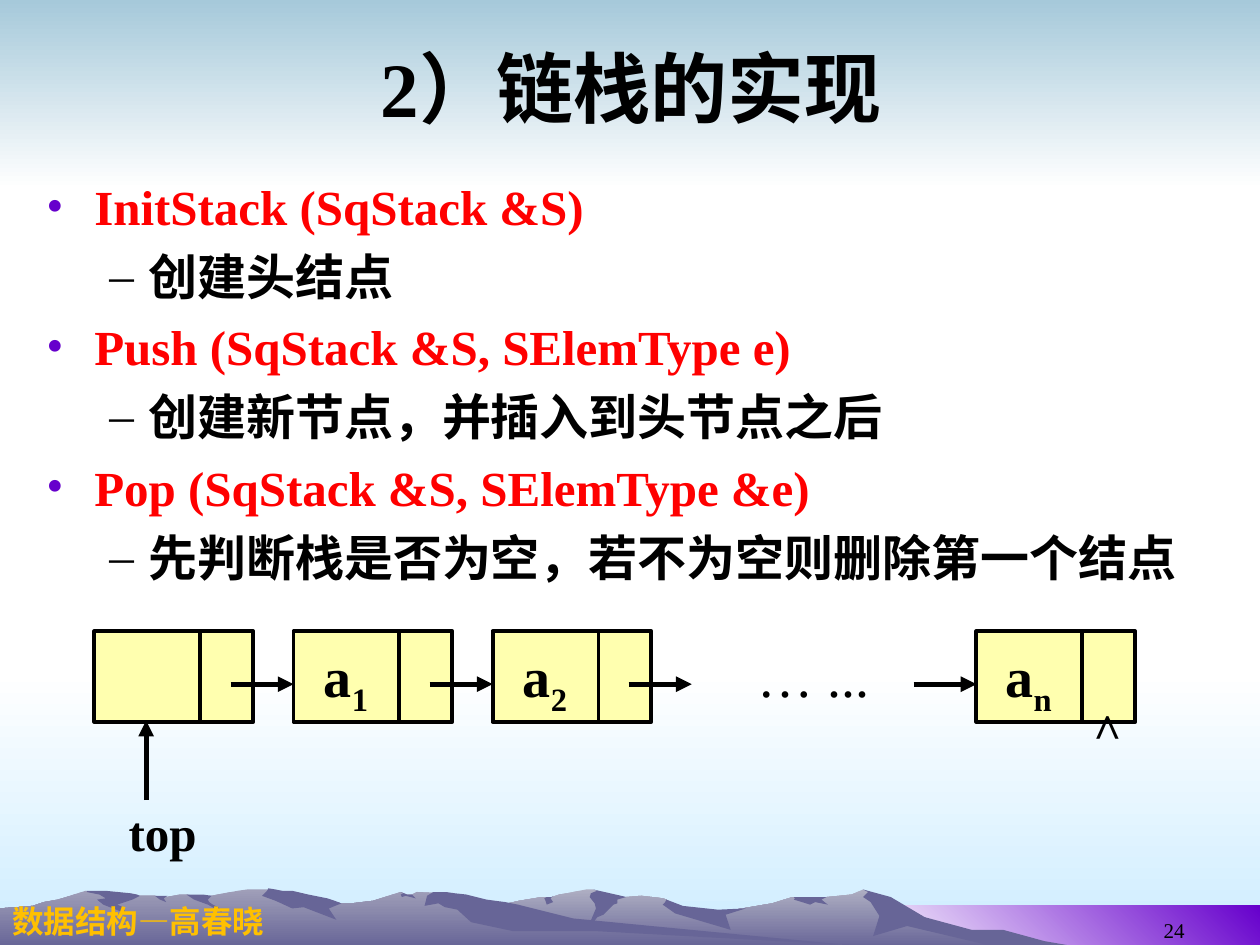
from dataclasses import dataclass

from lxml import etree
from pptx import Presentation
from pptx import util as u
from pptx.dml.color import RGBColor
from pptx.enum import shapes, text
from pptx.oxml.ns import qn

PX = 9144  # EMU per px, 100 px to the inch


@dataclass(frozen=True)
class Theme:
    serif: str = "Times New Roman"
    sans: str = "Arial"
    black: str = "000000"
    white: str = "FFFFFF"
    red: str = "FF0000"
    gold: str = "FFC000"
    purple: str = "6600CC"
    cell: str = "FFFFAF"
    sky: str = "A6C9DA"
    ice: str = "CCECFF"
    ridge: str = "676597"
    ridge_light: str = "AEAEC2"
    ridge_mid: str = "9F9EB8"
    title: int = 44
    body: int = 28
    node: int = 32
    null: int = 48
    footer: int = 18
    number: int = 12


T = Theme()

# left, top, width, height, first colour, last colour, angle
BANDS = [
    (0, 533, 1000, 217, T.white, T.ice, 270),
    (0, 0, 1000, 150, T.sky, T.white, 270),
    (683, 719, 317, 33, T.white, T.purple, 45),
]

RIGHT_RIDGE = """802,746 778,740 764,738 723,725 702,712 685,706 676,710 656,712 629,712
    613,717 566,725 536,721 529,714 526,713 509,711 497,712 486,713 474,707 471,706 465,706
    450,709 444,710 438,712 430,712 424,713 412,715 399,718 394,719 355,725 327,731 277,745
    258,752 821,752"""
RIGHT_SHADES = [
    """796,738 771,738 734,728 707,712 685,706 689,708 685,712 691,716 698,727 693,743
    720,735 792,752 858,752 829,747""",
    """471,706 474,707 469,709 468,712 472,717 473,721 465,740 474,728 479,726 487,718
    490,717 490,714 497,712 493,711""",
    "529,714 528,716 526,718 536,725 580,738 576,726 592,721 570,722 542,719",
    "650,712 630,712 631,713 630,714 643,718 647,716 657,718 652,714 656,712",
    "433,715 432,713 434,712 438,712 439,711 437,713 439,716 434,718",
]
LEFT_RIDGE = """690,752 667,750 432,732 354,709 331,708 327,710 323,710 318,708 296,715
    279,717 271,717 260,715 236,717 223,708 219,707 212,706 196,706 189,707 178,709 168,711
    160,712 148,710 143,710 132,712 128,712 123,711 111,711 94,712 68,707 56,711 46,714
    35,716 26,719 14,720 0,721 0,752"""
LEFT_SHADES = [
    """212,707 208,711 219,715 232,721 241,720 267,730 261,721 271,717 266,715 260,713
    245,710 232,707 224,707 219,706 213,705""",
    """370,710 361,709 354,708 344,708 339,711 337,719 348,717 353,720 363,722 374,732
    407,739 472,739 690,751 683,751 455,729 427,722 411,718 401,716 386,714""",
    "318,710 320,709 318,708 323,710 327,710 330,713 326,712 322,711 319,712",
    """154,710 161,710 168,711 165,714 166,716 169,718 173,720 176,723 176,724 165,718
    154,714 148,710""",
    "133,711 130,713 132,716 127,714 123,711",
    """109,710 111,711 105,714 93,718 98,720 100,725 82,718 77,714 84,713 79,710 69,708
    69,707 84,707 94,708 104,709""",
]

OPERATIONS = [
    ("InitStack (SqStack &S)", "创建头结点"),
    ("Push (SqStack &S, SElemType e)", "创建新节点，并插入到头节点之后"),
    ("Pop (SqStack &S, SElemType &e)", "先判断栈是否为空，若不为空则删除第一个结点"),
]

NODE_W, NODE_H, NODE_Y, PITCH = 126, 72, 501, 158
FIRST_X, LAST_X, ARROW_Y, ARROW_LEN = 75, 775, 543, 50


def box(*lengths):
    return [u.Emu(n * PX) for n in lengths]


def apply(obj, values):
    for name, value in values.items():
        setattr(obj, name, value)


def paint(sp, color, last=None, angle=270):
    """Fill a shape without outline, with a gradient when a last colour is given."""
    sp.shadow.inherit = False
    sp.line.fill.background()
    if last is None:
        sp.fill.solid()
        sp.fill.fore_color.rgb = RGBColor.from_string(color)
        return
    sp.fill.gradient()
    sp.fill.gradient_angle = angle
    for stop, value in zip(sp.fill.gradient_stops, (color, last)):
        stop.color.rgb = RGBColor.from_string(value)


def add_band(slide, x, y, w, h, first, last, angle):
    sp = slide.shapes.add_shape(shapes.MSO_SHAPE.RECTANGLE, *box(x, y, w, h))
    paint(sp, first, last, angle)


def add_outline(slide, outline, color, last=None):
    points = [tuple(map(int, pair.split(","))) for pair in outline.split()]
    builder = slide.shapes.build_freeform(*points[0], scale=PX)
    builder.add_line_segments(points[1:], close=True)
    paint(builder.convert_to_shape(), color, last)


def add_run(p, content, size, color=T.black, bold=True, font=T.serif, baseline=None):
    r = p.add_run()
    r.text = content
    apply(r.font, {"size": u.Pt(size), "bold": bold, "name": font})
    r.font.color.rgb = RGBColor.from_string(color)
    if baseline is not None:
        r.font._element.set("baseline", str(baseline))


def add_label(slide, x, y, w, h, runs, align=text.PP_ALIGN.CENTER,
              anchor=text.MSO_ANCHOR.TOP):
    """Add a one-line text box; each run is a dict of add_run arguments."""
    tf = slide.shapes.add_textbox(*box(x, y, w, h)).text_frame
    apply(tf, {"word_wrap": False, "vertical_anchor": anchor})
    p = tf.paragraphs[0]
    p.alignment = align
    for run in runs:
        add_run(p, **run)


def add_line(slide, x1, y1, x2, y2, width, arrow=False):
    line = slide.shapes.add_connector(shapes.MSO_CONNECTOR.STRAIGHT, *box(x1, y1, x2, y2))
    line.line.width = u.Pt(width)
    line.line.color.rgb = RGBColor.from_string(T.black)
    if arrow:
        etree.SubElement(line.line._get_or_add_ln(), qn("a:tailEnd"), type="triangle")
    etree.SubElement(line._element.spPr, qn("a:effectLst"))


def add_node(slide, x, index=None):
    sp = slide.shapes.add_shape(shapes.MSO_SHAPE.RECTANGLE, *box(x, NODE_Y, NODE_W, NODE_H))
    paint(sp, T.cell)
    sp.line.color.rgb = RGBColor.from_string(T.black)
    sp.line.width = u.Pt(2.25)
    add_line(slide, x + 84, NODE_Y, x + 84, NODE_Y + NODE_H, 2.25)
    if index:
        add_label(slide, x + 8, NODE_Y + 3, 67, 63, [
            {"content": "a", "size": T.node},
            {"content": index, "size": T.node, "baseline": -25000}])


def add_bullet(p, char, margin, indent, color):
    pPr = p._p.get_or_add_pPr()
    pPr.set("marL", str(margin * PX))
    pPr.set("indent", str(-indent * PX))
    clr = etree.SubElement(pPr, qn("a:buClr"))
    etree.SubElement(clr, qn("a:srgbClr"), val=color)
    etree.SubElement(pPr, qn("a:buFont"), typeface=T.serif)
    etree.SubElement(pPr, qn("a:buChar"), char=char)


def add_operations(slide):
    tf = slide.shapes.add_textbox(*box(27, 135, 945, 567)).text_frame
    tf.word_wrap = True
    levels = [("•", 38, 38, T.purple, T.red), ("–", 81, 31, T.black, T.black)]
    p = None
    for operation in OPERATIONS:
        for level, content in enumerate(operation):
            char, margin, indent, mark, color = levels[level]
            first = p is None
            p = tf.paragraphs[0] if first else tf.add_paragraph()
            p.level = level
            add_bullet(p, char, margin, indent, mark)
            if not first:
                p.space_before = u.Pt(6.5)
            add_run(p, content, T.body, color)


def add_title(slide, content):
    sp = slide.shapes.title
    apply(sp, dict(zip(("left", "top", "width", "height"), box(51, 13, 900, 112))))
    sp.text_frame.vertical_anchor = text.MSO_ANCHOR.MIDDLE
    p = sp.text_frame.paragraphs[0]
    p.alignment = text.PP_ALIGN.CENTER
    add_run(p, content, T.title)
    slide.shapes._spTree.append(sp._element)  # in front of the bands


def add_background(slide):
    for band in BANDS:
        add_band(slide, *band)
    for ridge, light, shades in ((RIGHT_RIDGE, T.ridge_light, RIGHT_SHADES),
                                 (LEFT_RIDGE, T.ridge_mid, LEFT_SHADES)):
        add_outline(slide, ridge, light, T.ridge)
        for shade in shades:
            add_outline(slide, shade, T.ridge)


def add_linked_stack(slide):
    starts = [FIRST_X + i * PITCH for i in range(3)]
    for x, index in zip(starts + [LAST_X], (None, "1", "2", "n")):
        add_node(slide, x, index)
    for x in [start + PITCH for start in starts] + [LAST_X]:
        add_line(slide, x - ARROW_LEN, ARROW_Y, x, ARROW_Y, 3, arrow=True)
    add_label(slide, 591, NODE_Y + 3, 109, 63,
              [{"content": "… ...", "size": T.node, "bold": False}])
    add_label(slide, 858, 506, 42, 63,
              [{"content": "^", "size": T.null, "baseline": -25000}])
    add_line(slide, 116, 635, 116, 572, 3, arrow=True)
    add_label(slide, 92, 632, 74, 57, [{"content": "top", "size": T.body}])


def main():
    prs = Presentation()
    prs.slide_width, prs.slide_height = box(1000, 750)
    slide = prs.slides.add_slide(prs.slide_layouts[5])
    add_background(slide)
    add_label(slide, 0, 711, 305, 40, [{"content": "数据结构—高春晓", "size": T.footer,
              "color": T.gold, "font": T.sans}], text.PP_ALIGN.LEFT)
    add_label(slide, 717, 703, 233, 50, [{"content": "24", "size": T.number, "bold": False}],
              text.PP_ALIGN.RIGHT, text.MSO_ANCHOR.BOTTOM)
    add_title(slide, "2）链栈的实现")
    add_operations(slide)
    add_linked_stack(slide)
    prs.save("out.pptx")


if __name__ == "__main__":
    main()
